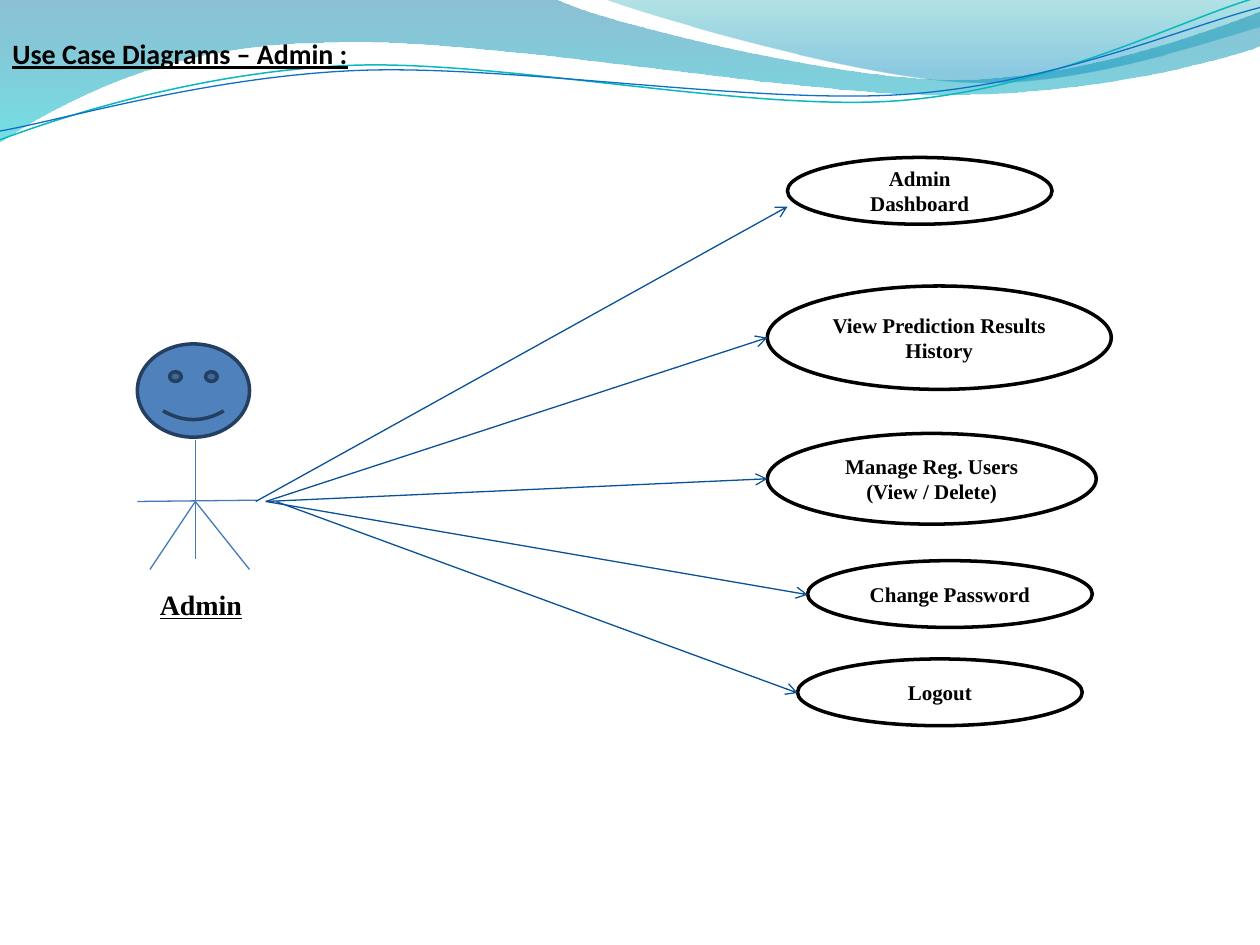
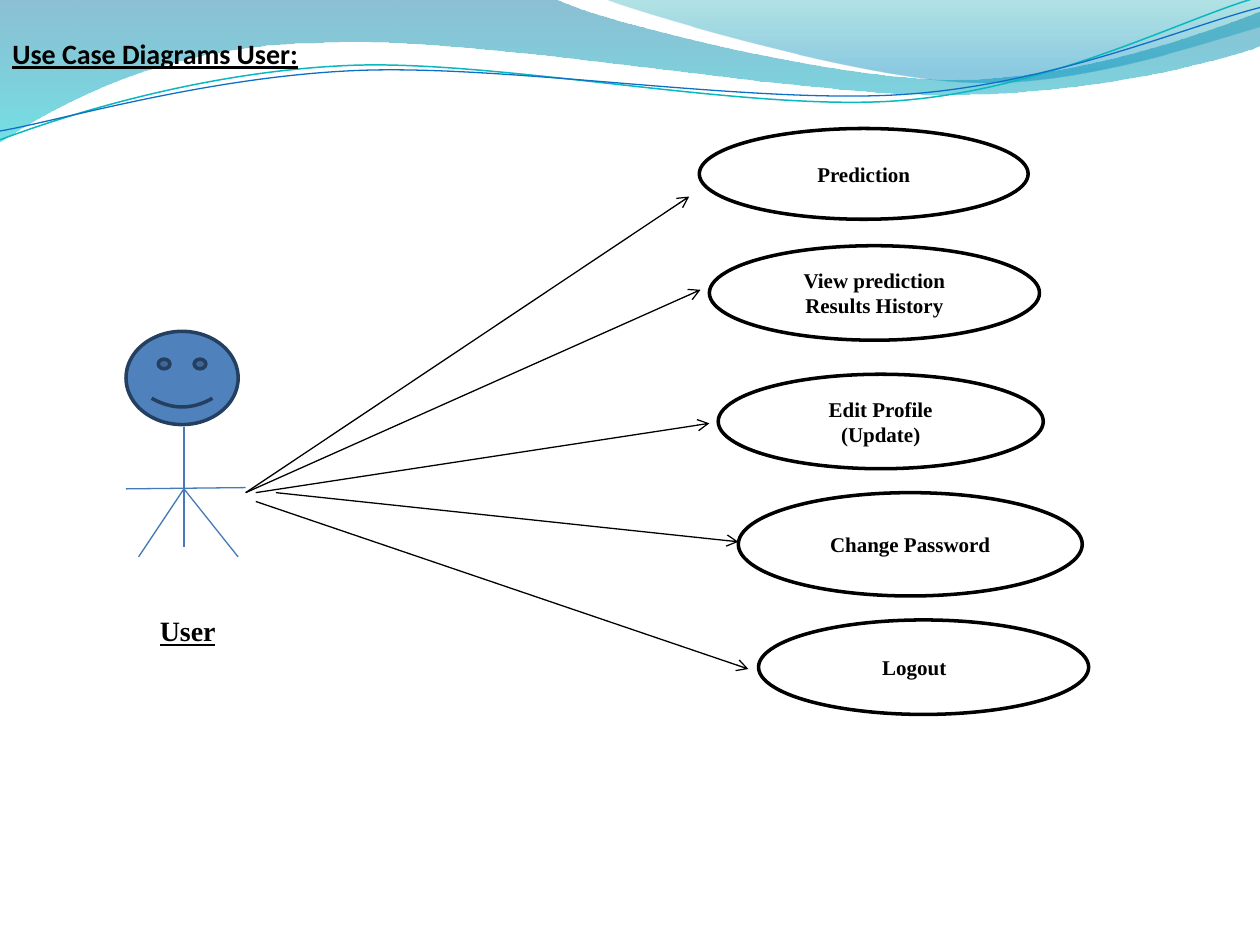
"""Build two use case diagram slides for the admin and user roles."""
from lxml import etree
from pptx import Presentation
from pptx.dml.color import RGBColor
from pptx.enum import shapes as kinds, text as txt
from pptx.oxml import ns
from pptx.util import Inches, Pt

HUES = {
    "ink": "000000", "paper": "FFFFFF", "face": "4F81BD", "edge": "243F60",
    "limb": "4579B8", "link": "095295", "aqua": "0AB8BF", "blue": "0F6FC6",
}
SERIF = "Times New Roman"

BANDS = [
    ((0, -0.01),
     [[(4.4, -0.01)],
      [(4.76, 0.17), (6.64, 0.63), (7.58, 0.63)],
      [(8.53, 0.63), (9.58, 0.26), (10, 0.09)],
      [(10.01, 0.36)],
      [(9.83, 0.44), (8.7, 0.76), (7.46, 0.75)],
      [(6.22, 0.75), (3.82, 0.28), (2.57, 0.34)],
      [(1.29, 0.35), (0.46, 0.83), (-0.01, 1.13)]],
     [(0, "0074A1", 45), (1, "00C6CF", 55)]),
    ((4.79, -0.01),
     [[(5.09, 0.11), (6.82, 0.62), (7.69, 0.65)],
      [(8.56, 0.69), (9.61, 0.32), (10, 0.21)],
      [(10, 0)]],
     [(0, "00A1A9", 30), (0.8, "008BBF", 45)]),
]
WAVES = [
    ((0, 1.11),
     [[(0.48, 0.93), (1.58, 0.57), (2.77, 0.52)],
      [(3.95, 0.47), (5.93, 0.89), (7.13, 0.8)],
      [(8.33, 0.71), (9.38, 0.15), (9.98, -0.02)]], "aqua", 0.85),
    ((0, 1.04),
     [[(0.47, 0.96), (1.64, 0.61), (2.83, 0.56)],
      [(4.03, 0.51), (5.97, 0.83), (7.17, 0.75)],
      [(8.36, 0.67), (9.41, 0.21), (10, 0.06)]], "blue", 0.75),
]

VIEWS = [
    {"title": "Use Case Diagrams – Admin :", "role": "Admin",
     "label": (1.17, 4.61, 1.09, 0.37), "foot": 0.05,
     "actor": (1.09, 2.73), "link": "link",
     "cases": [
         (["Admin Dashboard"], (6.25, 1.25, 2.1, 0.53), 0),
         (["View Prediction Results History"], (6.09, 2.27, 2.73, 0.82), 0),
         (["Manage Reg. Users", "(View / Delete)"],
          (6.09, 3.44, 2.61, 0.72), 0),
         (["Change Password"], (6.41, 4.45, 2.26, 0.53), 0),
         (["Logout"], (6.33, 5.23, 2.26, 0.53), 0)],
     "arrows": [
         ((2.03, 3.98), (6.25, 1.64)), ((2.11, 3.98), (6.09, 2.68)),
         ((2.11, 3.98), (6.09, 3.8)), ((2.11, 3.98), (6.41, 4.72)),
         ((2.19, 3.98), (6.33, 5.5))]},
    {"title": "Use Case Diagrams User:", "role": "User",
     "label": (1.17, 4.69, 0.86, 0.81), "foot": 0.23,
     "actor": (1, 2.63), "link": "ink",
     "cases": [
         (["Edit Profile", "(Update)"], (5.7, 2.97, 2.58, 0.75), 0),
         (["Change Password"], (5.86, 3.91, 2.73, 0.82), 0),
         (["Prediction"], (5.55, 1.02, 2.61, 0.72), 0),
         (["View prediction Results History"], (5.63, 1.95, 2.62, 0.75), 0),
         (["Logout"], (6.02, 4.92, 2.62, 0.75), 0.5)],
     "arrows": [
         ((1.95, 3.91), (5.56, 2.3)), ((1.95, 3.91), (5.47, 1.56)),
         ((2.03, 3.91), (5.63, 3.36)), ((2.19, 3.91), (5.86, 4.3)),
         ((2.03, 3.98), (5.94, 5.31))]},
]


def tint(name):
    """Return the named colour."""
    return RGBColor.from_string(HUES[name])


def stroke(line, hue, width):
    """Set the colour and point width of a line."""
    line.color.rgb = tint(hue)
    line.width = Pt(width)


def outline(slide, start, parts, close):
    """Draw a freeform whose three-point parts are cubic curves."""
    pen = slide.shapes.build_freeform(*map(Inches, start))
    pen.add_line_segments(
        [(Inches(x), Inches(y)) for part in parts for x, y in part],
        close=close)
    shape = pen.convert_to_shape()
    shape.shadow.inherit = False
    steps = iter(list(shape.element.iter(ns.qn("a:lnTo"))))
    for part in parts:
        first, *rest = [next(steps) for _ in part]
        if rest:
            first.tag = ns.qn("a:cubicBezTo")
            for step in rest:
                first.append(step[0])
                step.getparent().remove(step)
    return shape


def band(slide, start, parts, stops):
    """Draw a filled band with a translucent downward gradient."""
    shape = outline(slide, start, parts, True)
    shape.line.fill.background()
    shape.fill.gradient()
    shape.fill.gradient_angle = 270
    for stop, (place, hue, _) in zip(shape.fill.gradient_stops, stops):
        stop.position = place
        stop.color.rgb = RGBColor.from_string(hue)
    marks = shape.element.spPr.iter(ns.qn("a:srgbClr"))
    for mark, (_, _, alpha) in zip(marks, stops):
        etree.SubElement(mark, ns.qn("a:alpha"), val=str(alpha * 1000))


def wave(slide, start, parts, hue, width):
    """Draw an open wavy line."""
    shape = outline(slide, start, parts, False)
    shape.fill.background()
    stroke(shape.line, hue, width)


def write(frame, lines, size, font, align, under=False, indent=0):
    """Fill a text frame with bold lines."""
    frame.word_wrap = True
    frame.vertical_anchor = txt.MSO_ANCHOR.MIDDLE
    for n, words in enumerate(lines):
        para = frame.add_paragraph() if n else frame.paragraphs[0]
        para.alignment = align
        if indent:
            para._p.get_or_add_pPr().set("indent", str(Inches(indent)))
        run = para.add_run()
        run.text = words
        run.font.name, run.font.size = font, Pt(size)
        run.font.bold, run.font.underline = True, under
        run.font.color.rgb = tint("ink")


def label(slide, words, area, font, foot):
    """Add an underlined heading or caption."""
    frame = slide.shapes.add_textbox(*map(Inches, area)).text_frame
    frame.margin_bottom = Inches(foot)
    write(frame, [words], 16, font, txt.PP_ALIGN.LEFT, under=True)


def solid(slide, kind, area, fill, edge):
    """Add a filled preset shape with a firm outline."""
    shape = slide.shapes.add_shape(kind, *map(Inches, area))
    shape.shadow.inherit = False
    shape.fill.solid()
    shape.fill.fore_color.rgb = tint(fill)
    stroke(shape.line, edge, 2)
    return shape


def case(slide, lines, area, indent):
    """Add a use case ellipse."""
    oval = solid(slide, kinds.MSO_SHAPE.OVAL, area, "paper", "ink")
    align = txt.PP_ALIGN.LEFT if indent else txt.PP_ALIGN.CENTER
    write(oval.text_frame, lines, 12, SERIF, align, indent=indent)


def link(slide, start, end, hue, arrow=False):
    """Add a thin straight line, with an arrowhead if asked."""
    wire = slide.shapes.add_connector(
        kinds.MSO_CONNECTOR.STRAIGHT, *map(Inches, (*start, *end)))
    stroke(wire.line, hue, 0.75)
    if arrow:
        etree.SubElement(
            wire.line._get_or_add_ln(), ns.qn("a:tailEnd"), type="arrow")
    etree.SubElement(wire.element.spPr, ns.qn("a:effectLst"))


def actor(slide, left, top):
    """Draw the stick figure."""
    area = (left, top, 0.89, 0.74)
    solid(slide, kinds.MSO_SHAPE.SMILEY_FACE, area, "face", "edge")
    hip = (0.46, 1.25)
    limbs = [((0.46, 0.76), (0.46, 1.71)), ((0, 1.25), (0.95, 1.24)),
             (hip, (0.1, 1.79)), (hip, (0.89, 1.79))]
    for (ax, ay), (bx, by) in limbs:
        link(slide, (left + ax, top + ay), (left + bx, top + by), "limb")


def base(deck, title):
    """Add a slide with the shared waves and title."""
    slide = deck.slides.add_slide(deck.slide_layouts[6])
    for item in BANDS:
        band(slide, *item)
    for item in WAVES:
        wave(slide, *item)
    label(slide, title, (0, 0, 3.28, 0.91), "Calibri", 0.11)
    return slide


def main():
    """Build and save the deck."""
    deck = Presentation()
    deck.slide_width, deck.slide_height = Inches(10), Inches(7.5)
    for view in VIEWS:
        slide = base(deck, view["title"])
        actor(slide, *view["actor"])
        for item in view["cases"]:
            case(slide, *item)
        label(slide, view["role"], view["label"], SERIF, view["foot"])
        for start, end in view["arrows"]:
            link(slide, start, end, view["link"], arrow=True)
    deck.save("out.pptx")


if __name__ == "__main__":
    main()
